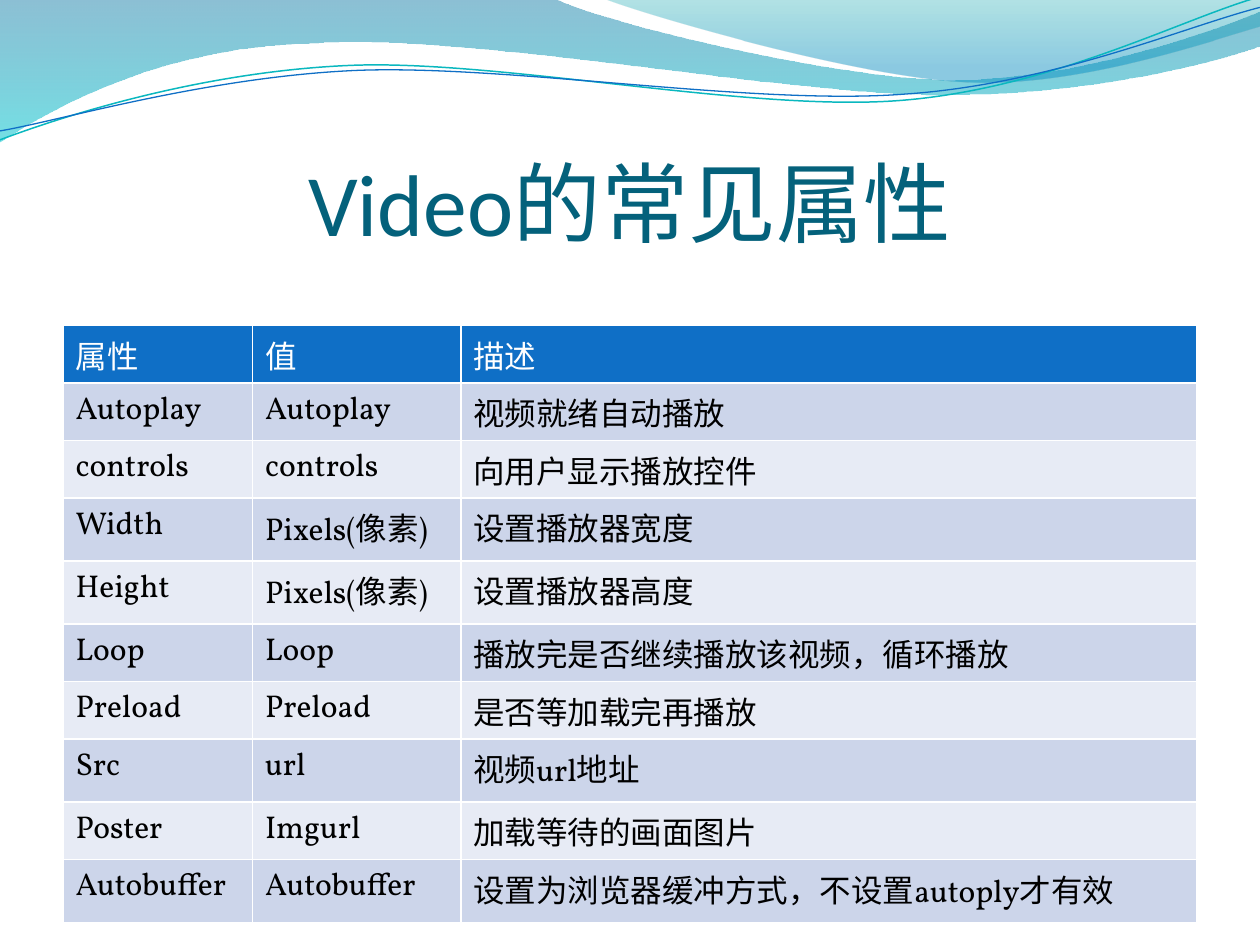
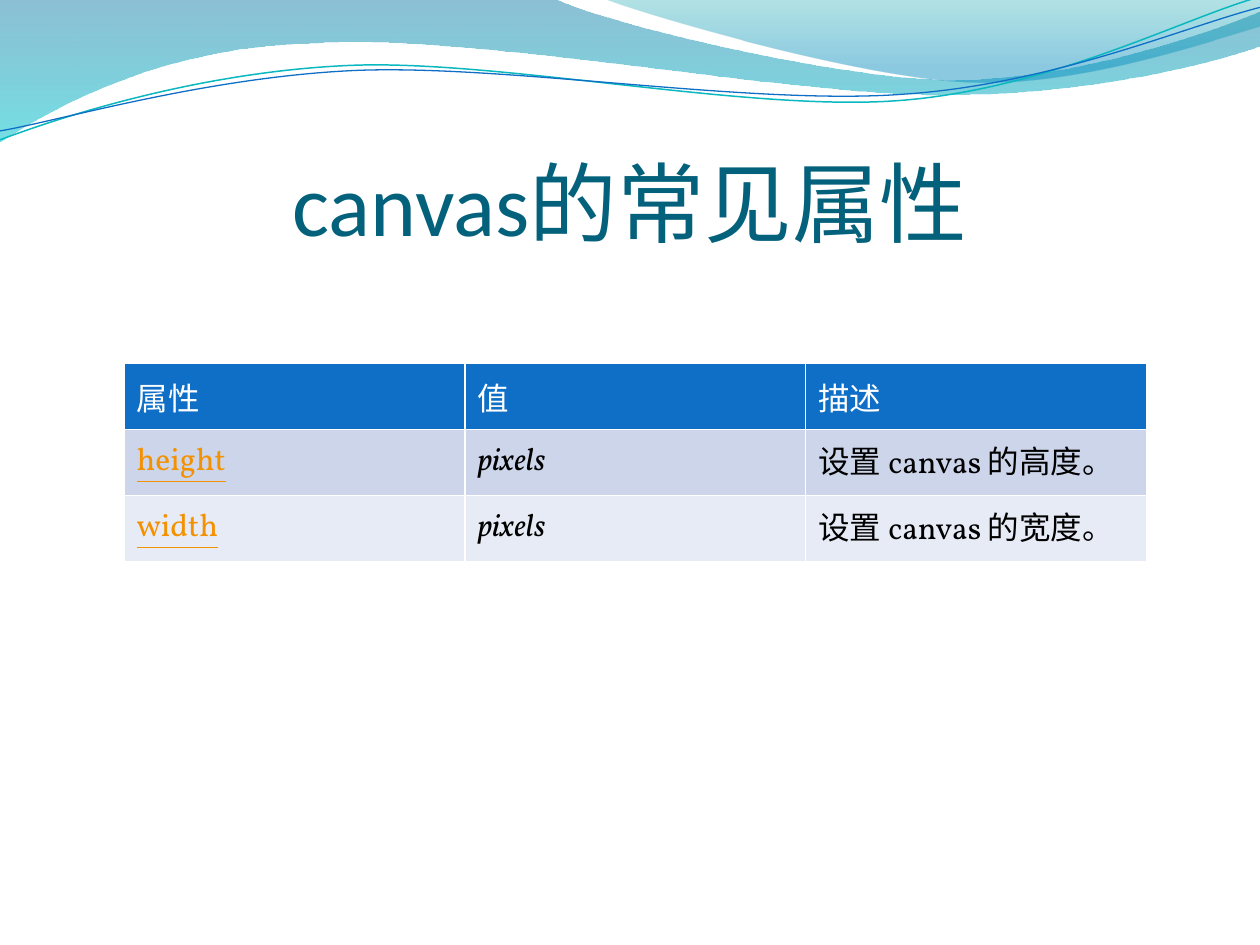
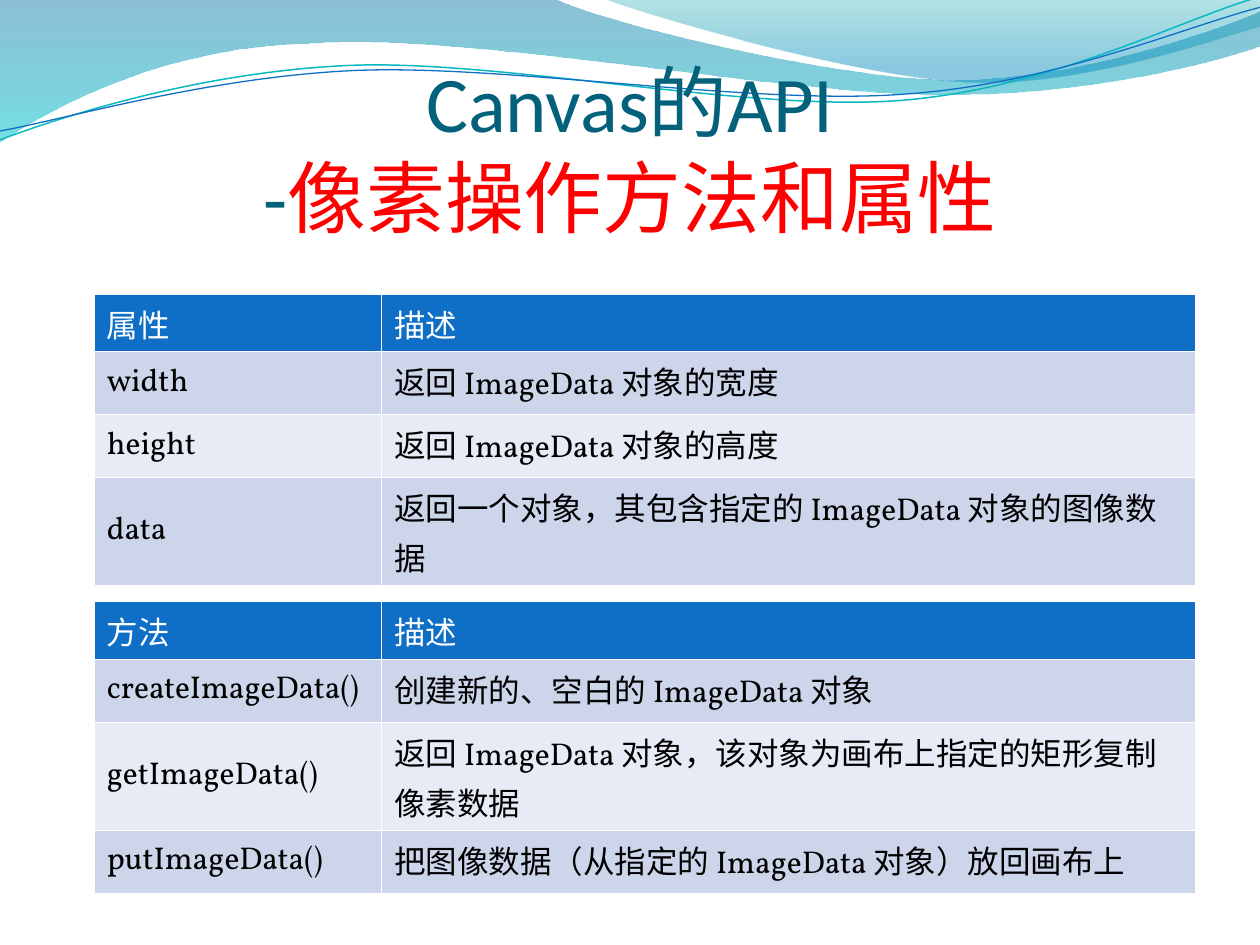
from dataclasses import dataclass

from lxml.etree import SubElement
from pptx import Presentation
from pptx.dml.color import RGBColor
from pptx.enum.text import MSO_ANCHOR, PP_ALIGN
from pptx.oxml import parse_xml
from pptx.oxml.ns import nsdecls, qn
from pptx.util import Cm, Pt


@dataclass(frozen=True)
class Theme:
    """Colours, fonts and type sizes shared by the slides."""

    title: str = "04617B"
    highlight: str = "FF0000"
    header: str = "0F6FC6"
    bands: tuple = ("CCD5EA", "E7EBF5")
    white: str = "FFFFFF"
    text: str = "000000"
    link: str = "F49100"
    title_font: str = "Calibri"
    table_font: str = "Vollkorn"
    title_size: int = 50
    long_title_size: int = 45
    table_size: int = 18


THEME = Theme()

PLAIN_ROW, MIXED_ROW, DOUBLE_ROW, TALL_ROW = 1.16, 1.27, 2.18, 1.33

LEFT_WAVE = [
    (0, 0), (11.18, -0.03),
    (12.09, 0.43, 16.87, 1.6, 19.25, 1.6),
    (21.67, 1.6, 24.33, 0.66, 25.4, 0.23),
    (25.43, 0.91),
    (24.97, 1.12, 22.1, 1.93, 18.95, 1.91),
    (15.8, 1.91, 9.7, 0.71, 6.53, 0.86),
    (3.28, 0.91, 1.17, 2.11, -0.03, 2.87),
]
RIGHT_WAVE = [
    (12.17, -0.03),
    (12.93, 0.28, 17.32, 1.57, 19.53, 1.65),
    (21.74, 1.75, 24.41, 0.81, 25.4, 0.53),
    (25.4, 0),
]
TEAL_LINE = [
    (0, 2.82),
    (1.22, 2.36, 4.01, 1.45, 7.04, 1.32),
    (10.03, 1.19, 15.06, 2.26, 18.11, 2.03),
    (21.16, 1.8, 23.83, 0.38, 25.35, -0.05),
]
BLUE_LINE = [
    (0, 2.64),
    (1.19, 2.44, 4.17, 1.55, 7.19, 1.42),
    (10.24, 1.3, 15.16, 2.13, 18.21, 1.9),
    (21.23, 1.7, 23.9, 0.53, 25.4, 0.15),
]

VIDEO_ROWS = [
    (PLAIN_ROW, "属性", "值", "描述"),
    (PLAIN_ROW, "Autoplay", "Autoplay", "视频就绪自动播放"),
    (PLAIN_ROW, "controls", "controls", "向用户显示播放控件"),
    (MIXED_ROW, "Width", "Pixels(像素)", "设置播放器宽度"),
    (MIXED_ROW, "Height", "Pixels(像素)", "设置播放器高度"),
    (PLAIN_ROW, "Loop", "Loop", "播放完是否继续播放该视频，循环播放"),
    (PLAIN_ROW, "Preload", "Preload", "是否等加载完再播放"),
    (MIXED_ROW, "Src", "url", "视频url地址"),
    (PLAIN_ROW, "Poster", "Imgurl", "加载等待的画面图片"),
    (MIXED_ROW, "Autobuffer", "Autobuffer", "设置为浏览器缓冲方式，不设置autoply才有效"),
]
CANVAS_ROWS = [
    (TALL_ROW, "属性", "值", "描述"),
    (TALL_ROW, "height", "pixels", "设置 canvas 的高度。"),
    (TALL_ROW, "width", "pixels", "设置 canvas 的宽度。"),
]
PIXEL_PROPERTY_ROWS = [
    (PLAIN_ROW, "属性", "描述"),
    (MIXED_ROW, "width", "返回 ImageData 对象的宽度"),
    (MIXED_ROW, "height", "返回 ImageData 对象的高度"),
    (DOUBLE_ROW, "data", "返回一个对象，其包含指定的 ImageData 对象的图像数据"),
]
PIXEL_METHOD_ROWS = [
    (PLAIN_ROW, "方法", "描述"),
    (MIXED_ROW, "createImageData()", "创建新的、空白的 ImageData 对象"),
    (DOUBLE_ROW, "getImageData()", "返回 ImageData 对象，该对象为画布上指定的矩形复制像素数据"),
    (MIXED_ROW, "putImageData()", "把图像数据（从指定的 ImageData 对象）放回画布上"),
]


def color(value):
    """Turn a hex string into a colour."""
    return RGBColor.from_string(value)


def bend(node, segment, left, top):
    """Replace a straight outline step by a cubic curve."""
    points = "".join(
        f'<a:pt x="{Cm(x) - left}" y="{Cm(y) - top}"/>'
        for x, y in zip(segment[::2], segment[1::2])
    )
    curve = parse_xml(f'<a:cubicBezTo {nsdecls("a")}>{points}</a:cubicBezTo>')
    node.getparent().replace(node, curve)


def add_outline(slide, segments, close):
    """Draw a freeform from straight and curved segments in centimetres."""
    corners = [(Cm(segment[-2]), Cm(segment[-1])) for segment in segments]
    builder = slide.shapes.build_freeform(*corners[0])
    builder.add_line_segments(corners[1:], close=close)
    shape = builder.convert_to_shape()
    shape.shadow.inherit = False
    steps = list(shape._element.spPr.iter(qn("a:lnTo")))
    for node, segment in zip(steps, segments[1:]):
        if len(segment) == 6:
            bend(node, segment, shape.left, shape.top)
    return shape


def add_wave(slide, segments, stops):
    """Draw a filled wave with a translucent downward gradient."""
    shape = add_outline(slide, segments, close=True)
    shape.line.fill.background()
    shape.fill.gradient()
    shape.fill.gradient_angle = 270
    for stop, (position, value, _) in zip(shape.fill.gradient_stops, stops):
        stop.position = position
        stop.color.rgb = color(value)
    shades = shape._element.spPr.iter(qn("a:srgbClr"))
    for shade, (_, _, opacity) in zip(list(shades), stops):
        SubElement(shade, qn("a:alpha")).set("val", str(opacity * 1000))
    return shape


def add_wave_line(slide, segments, value, width):
    """Draw a thin open curve."""
    shape = add_outline(slide, segments, close=False)
    shape.fill.background()
    shape.line.color.rgb = color(value)
    shape.line.width = Pt(width)
    return shape


def decorate_layout(layout, slide):
    """Draw the wave band once and hand it to the shared layout."""
    shapes = [
        add_wave(slide, LEFT_WAVE, [(0, "0074A1", 45), (1, "00C6CF", 55)]),
        add_wave(slide, RIGHT_WAVE, [(0, "00A1A9", 30), (0.8, "008BBF", 45)]),
        add_wave_line(slide, TEAL_LINE, "0AB8BF", 0.85),
        add_wave_line(slide, BLUE_LINE, "0F6FC6", 0.75),
    ]
    for shape in shapes:
        layout.shapes._spTree.append(shape._element)


def style_font(font, name, size, value):
    """Set the face, size and colour of a font."""
    font.name = name
    font.size = Pt(size)
    font.color.rgb = color(value)


def add_title(slide, text, size=THEME.title_size, top=1.95, height=3.18, highlight=""):
    """Add a centred title with an optional highlighted ending."""
    box = slide.shapes.add_textbox(Cm(1.27), Cm(top), Cm(22.86), Cm(height))
    frame = box.text_frame
    frame.word_wrap = True
    frame.vertical_anchor = MSO_ANCHOR.BOTTOM
    frame.margin_left = frame.margin_right = frame.margin_bottom = 0
    frame.margin_top = Cm(0.13)
    paragraph = frame.paragraphs[0]
    paragraph.text = text
    paragraph.alignment = PP_ALIGN.CENTER
    style_font(paragraph.font, THEME.title_font, size, THEME.title)
    if highlight:
        run = paragraph.add_run()
        run.text = highlight
        run.font.color.rgb = color(THEME.highlight)


def set_borders(cell):
    """Give a cell thin white borders."""
    properties = cell._tc.get_or_add_tcPr()
    for position, tag in enumerate(("lnL", "lnR", "lnT", "lnB")):
        properties.insert(position, parse_xml(
            f'<a:{tag} {nsdecls("a")} w="{Pt(1)}"><a:solidFill>'
            f'<a:srgbClr val="{THEME.white}"/></a:solidFill></a:{tag}>'
        ))


def fill_cell(cell, text, band, text_color, anchor):
    """Write one table cell on its band colour."""
    cell.vertical_anchor = anchor
    cell.fill.solid()
    cell.fill.fore_color.rgb = color(band)
    set_borders(cell)
    paragraph = cell.text_frame.paragraphs[0]
    paragraph.text = text
    style_font(paragraph.font, THEME.table_font, THEME.table_size, text_color)
    paragraph.runs[0].font.name = THEME.table_font


def add_table(slide, rows, left, top, widths, anchor=MSO_ANCHOR.MIDDLE):
    """Add a banded table with a blue header and return it."""
    height = sum(row[0] for row in rows)
    frame = slide.shapes.add_table(
        len(rows), len(widths), Cm(left), Cm(top), Cm(sum(widths)), Cm(height)
    )
    table = frame.table
    for column, width in zip(table.columns, widths):
        column.width = Cm(width)
    for row_index, (row_height, *texts) in enumerate(rows):
        table.rows[row_index].height = Cm(row_height)
        band, text_color = THEME.bands[(row_index - 1) % 2], THEME.text
        if row_index == 0:
            band, text_color = THEME.header, THEME.white
        for column_index, text in enumerate(texts):
            fill_cell(table.cell(row_index, column_index), text, band, text_color, anchor)
    return table


def emphasize_canvas_cells(table):
    """Show attribute names as links and their values in italics."""
    for row_index in range(1, len(table.rows)):
        name, value = (
            table.cell(row_index, column).text_frame.paragraphs[0].font for column in (0, 1)
        )
        name.color.rgb = color(THEME.link)
        name.underline = True
        value.italic = True


def build_video_slide(slide):
    """List the attributes of the video element."""
    add_title(slide, "Video的常见属性")
    add_table(slide, VIDEO_ROWS, 1.27, 6.56, (3.82, 4.2, 14.84), MSO_ANCHOR.TOP)


def build_canvas_slide(slide):
    """List the attributes of the canvas element."""
    add_title(slide, "canvas的常见属性")
    table = add_table(slide, CANVAS_ROWS, 2.5, 7.33, (6.87,) * 3)
    emphasize_canvas_cells(table)


def build_pixel_slide(slide):
    """List the properties and methods for pixel work."""
    add_title(slide, "Canvas的API\v-", THEME.long_title_size, 1.93, 2.97, "像素操作方法和属性")
    for rows, top in ((PIXEL_PROPERTY_ROWS, 5.93), (PIXEL_METHOD_ROWS, 12.13)):
        add_table(slide, rows, 1.9, top, (5.79, 16.41))


def main():
    """Build the presentation and save it."""
    presentation = Presentation()
    presentation.slide_width = Cm(25.4)
    presentation.slide_height = Cm(19.05)
    layout = presentation.slide_layouts[6]
    builders = (build_video_slide, build_canvas_slide, build_pixel_slide)
    slides = [presentation.slides.add_slide(layout) for _ in builders]
    decorate_layout(layout, slides[0])
    for build, slide in zip(builders, slides):
        build(slide)
    presentation.save("out.pptx")


main()
